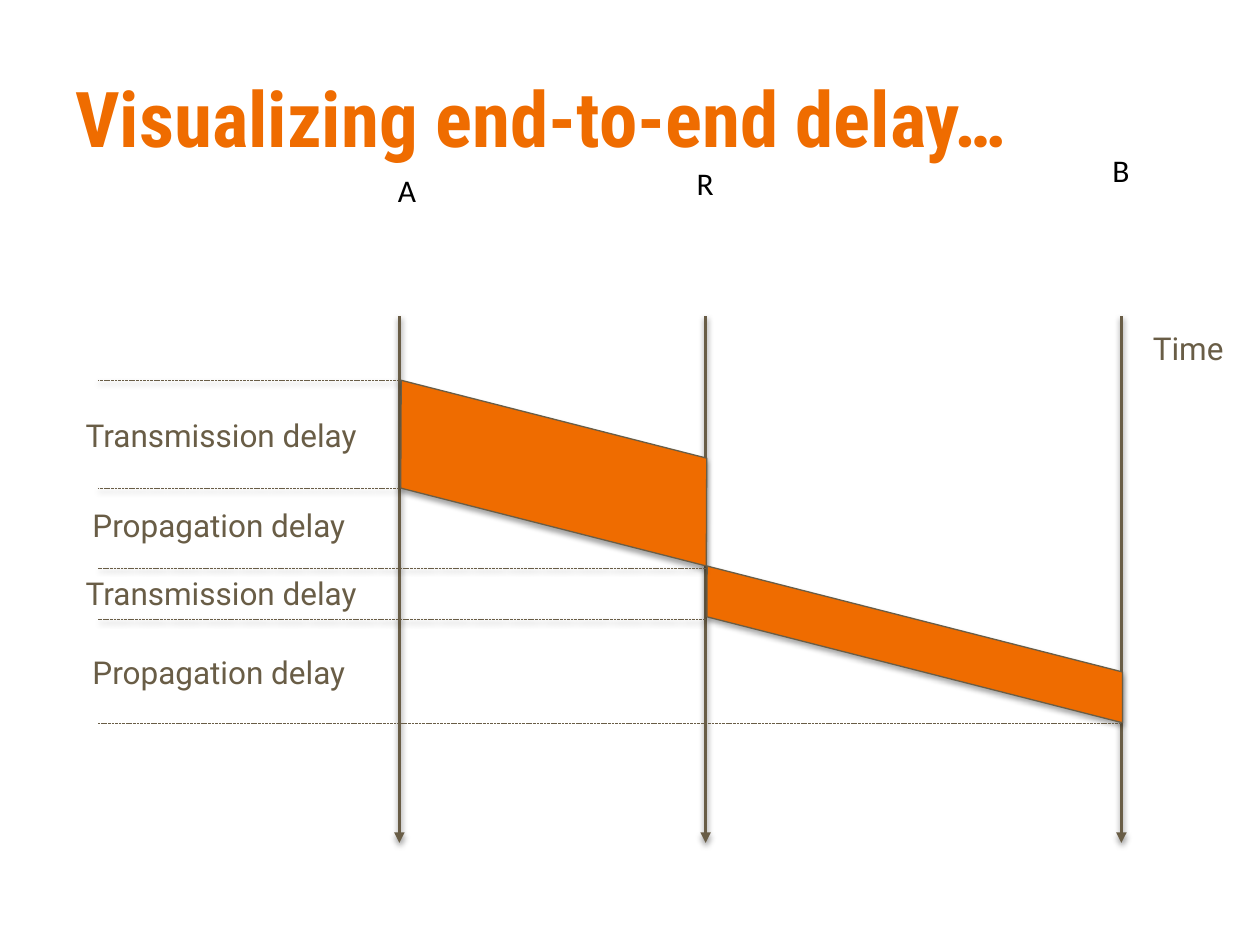
from dataclasses import dataclass

from lxml.etree import SubElement
from pptx import Presentation
from pptx.dml.color import RGBColor
from pptx.enum.dml import MSO_LINE
from pptx.enum.shapes import MSO_CONNECTOR, MSO_SHAPE
from pptx.enum.text import MSO_ANCHOR, PP_ALIGN
from pptx.oxml.ns import qn
from pptx.slide import Slide
from pptx.util import Inches, Length, Pt


@dataclass(frozen=True)
class Theme:
    accent: RGBColor = RGBColor(0xEF, 0x6C, 0x00)
    brown: RGBColor = RGBColor(0x69, 0x5D, 0x46)
    black: RGBColor = RGBColor(0, 0, 0)
    head: str = "Roboto Condensed"
    body: str = "Roboto"
    node: str = "Calibri"
    big: int = 44
    small: int = 18


@dataclass(frozen=True)
class Label:
    text: str
    col: float
    row: float
    wide: float
    font: str
    color: RGBColor
    align: PP_ALIGN = PP_ALIGN.LEFT
    wrap: bool = True
    high: float = 4
    size: int = 18
    bold: bool = False


@dataclass(frozen=True)
class Slab:
    col: float
    row: float
    wide: float
    high: float


@dataclass(frozen=True)
class Mark:
    col: float
    row: float


# The slide is a grid of 100 columns by 75 rows.
COLS, ROWS = 100, 75
WIDE, HIGH = Inches(10), Inches(7.5)
THEME = Theme()

A, R, B = 31.7, 56, 89
TOP, END = 25.1, 66.9
LEFT = 7.8
TILT, SKEW = 14.3, 0.25

SLABS = [Slab(30.4, 33.4, 27.1, 8.3), Slab(55.1, 49.2, 35, 3.9)]
MARKS = [Mark(A, 30.2), Mark(A, 38.8), Mark(R, 45.1), Mark(R, 49.2), Mark(B, 57.4)]


def send(row: float) -> Label:
    return Label("Transmission delay", 5, row, 24.3, THEME.body, THEME.brown, PP_ALIGN.RIGHT)


def travel(row: float) -> Label:
    return Label("Propagation delay", 5.8, row, 22.6, THEME.body, THEME.brown,
                 PP_ALIGN.RIGHT, wrap=False)


def node(name: str, col: float, row: float) -> Label:
    return Label(name, col, row, 3.5, THEME.node, THEME.black, wrap=False)


LABELS = [
    send(32.5), travel(39.7), send(45.1), travel(51.3),
    node("A", 30.6, 13.1), node("R", 54.3, 12.5), node("B", 87.3, 11.5),
    Label("Time", 90.1, 25.6, 8, THEME.body, THEME.brown, PP_ALIGN.RIGHT),
]
TITLE = Label("Visualizing end-to-end delay…", 5, 3, 90, THEME.head, THEME.accent,
              high=12.5, size=THEME.big, bold=True)


def x(col: float) -> Length:
    return Length(round(WIDE * col / COLS))


def y(row: float) -> Length:
    return Length(round(HIGH * row / ROWS))


def shade(shape, dist: float, alpha: int) -> None:
    """Give the shape a soft shadow straight below it."""
    props = shape._element.spPr
    cast = SubElement(SubElement(props, qn("a:effectLst")), qn("a:outerShdw"),
                      blurRad=str(Pt(3.1)), dist=str(Pt(dist)), dir="5400000",
                      rotWithShape="0")
    color = SubElement(cast, qn("a:srgbClr"), val="000000")
    SubElement(color, qn("a:alpha"), val=str(alpha * 1000))


def add_line(slide: Slide, start: Mark, end: Mark, width: float):
    line = slide.shapes.add_connector(
        MSO_CONNECTOR.STRAIGHT, x(start.col), y(start.row), x(end.col), y(end.row))
    line.line.color.rgb = THEME.brown
    line.line.width = Pt(width)
    shade(line, 1.6, 38)
    return line


def add_axis(slide: Slide, col: float) -> None:
    axis = add_line(slide, Mark(col, TOP), Mark(col, END), 2)
    SubElement(axis.line._get_or_add_ln(), qn("a:tailEnd"), type="triangle")


def add_mark(slide: Slide, mark: Mark) -> None:
    rule = add_line(slide, mark, Mark(LEFT, mark.row), 0.5)
    rule.line.dash_style = MSO_LINE.SQUARE_DOT


def add_slab(slide: Slide, slab: Slab) -> None:
    shape = slide.shapes.add_shape(
        MSO_SHAPE.PARALLELOGRAM, x(slab.col), y(slab.row), x(slab.wide), y(slab.high))
    shape.adjustments[0] = SKEW
    shape.rotation = TILT
    shape._element.spPr.xfrm.set("flipV", "1")
    shape.fill.solid()
    shape.fill.fore_color.rgb = THEME.accent
    shape.line.color.rgb = THEME.brown
    shape.line.width = Pt(0.75)
    shade(shape, 1.8, 35)


def add_label(slide: Slide, label: Label) -> None:
    box = slide.shapes.add_textbox(x(label.col), y(label.row), x(label.wide), y(label.high))
    frame = box.text_frame
    frame.word_wrap = label.wrap
    frame.vertical_anchor = MSO_ANCHOR.MIDDLE if label.bold else MSO_ANCHOR.TOP
    para = frame.paragraphs[0]
    para.alignment = label.align
    run = para.add_run()
    run.text = label.text
    run.font.name = label.font
    run.font.size = Pt(label.size)
    run.font.bold = label.bold
    run.font.color.rgb = label.color


def main() -> None:
    deck = Presentation()
    deck.slide_width, deck.slide_height = WIDE, HIGH
    slide = deck.slides.add_slide(deck.slide_layouts[6])
    add_label(slide, TITLE)
    for col in (A, R, B):
        add_axis(slide, col)
    for slab in SLABS:
        add_slab(slide, slab)
    for mark in MARKS:
        add_mark(slide, mark)
    for label in LABELS:
        add_label(slide, label)
    deck.save("out.pptx")


if __name__ == "__main__":
    main()
